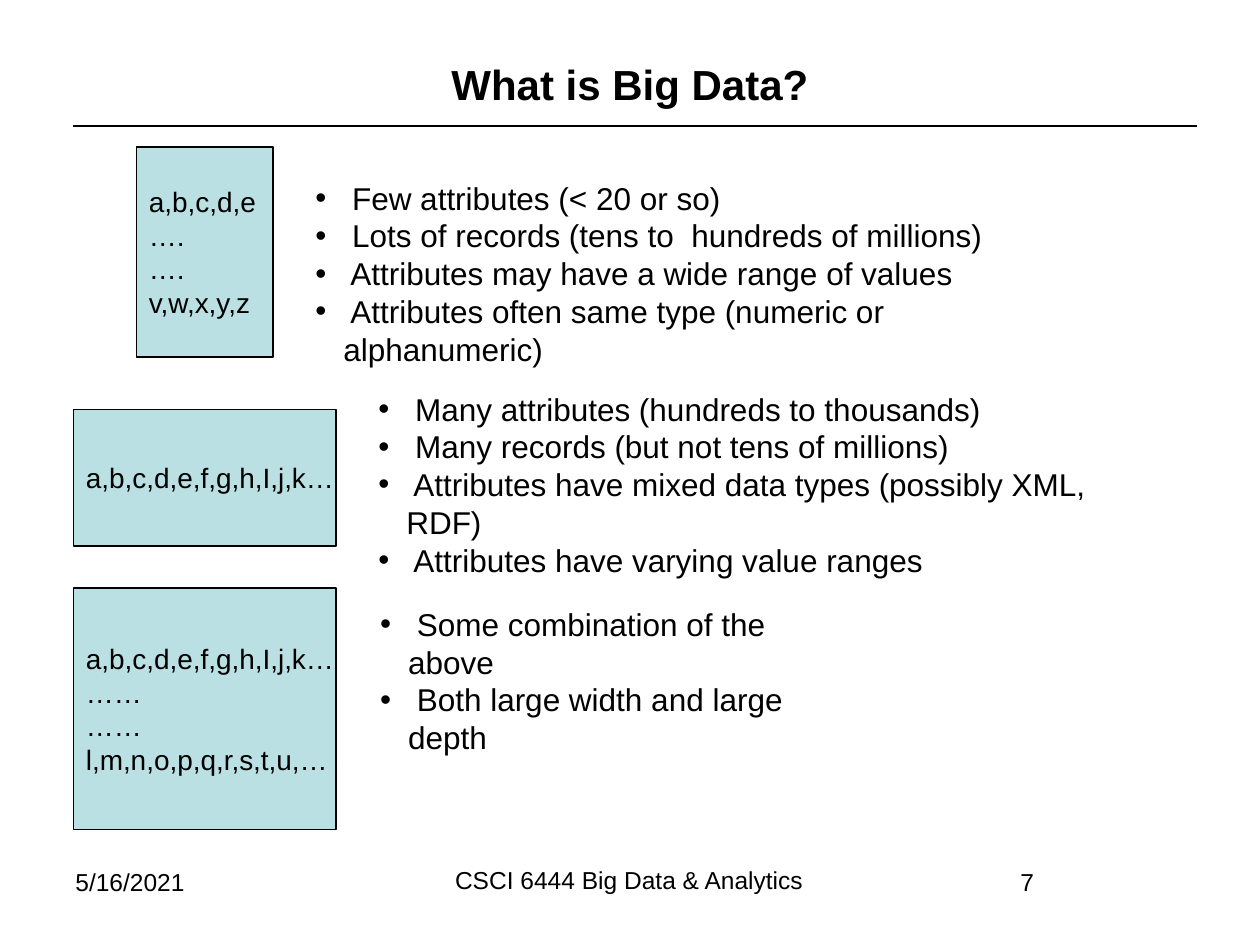
import pptx
import pptx.dml.color
import pptx.enum.shapes
import pptx.enum.text
import pptx.oxml
import pptx.oxml.ns
import pptx.util
from lxml import etree

Pt = pptx.util.Pt
ANCHOR = pptx.enum.text.MSO_ANCHOR
ALIGN = pptx.enum.text.PP_ALIGN


def rgb(value):
    return pptx.dml.color.RGBColor.from_string(value)


class Deck:
    """Holds the style and the current slide, and draws each kind of element."""

    font, ink, fill = "Arial", "000000", "BBE0E3"

    def __init__(self, prs, layout):
        self.s = prs.slides.add_slide(prs.slide_layouts[layout])

    def place(self, sp, box):
        for name, value in zip(("left", "top", "width", "height"), box):
            setattr(sp, name, Pt(value))

    def set_text(self, sp, lines, size, bold=False, align=ALIGN.LEFT,
                 anchor=ANCHOR.TOP, wrap=True, bullet=False):
        tf = sp.text_frame
        frame = {"word_wrap": wrap, "vertical_anchor": anchor,
                 "auto_size": pptx.enum.text.MSO_AUTO_SIZE.NONE}
        for name, value in frame.items():
            setattr(tf, name, value)
        for i, line in enumerate(lines):
            p = tf.add_paragraph() if i else tf.paragraphs[0]
            p.alignment = align
            p.space_before = Pt(0)
            if bullet:
                self.add_bullet(p)
            r = p.add_run()
            r.text = line
            style = {"name": self.font, "size": Pt(size), "bold": bold}
            for name, value in style.items():
                setattr(r.font, name, value)
            r.font.color.rgb = rgb(self.ink)

    def add_bullet(self, p, indent=16):
        pPr = p._p.get_or_add_pPr()
        pPr.set("marL", str(Pt(indent)))
        pPr.set("indent", str(-Pt(indent)))
        etree.SubElement(pPr, pptx.oxml.ns.qn("a:buChar")).set("char", "•")

    def title(self, text, box):
        sp = self.s.shapes.title
        self.place(sp, box)
        self.set_text(sp, [text], 24, bold=True, align=ALIGN.CENTER, anchor=ANCHOR.MIDDLE)

    def bullets(self, idx, lines, box):
        sp = self.s.placeholders[idx]
        self.place(sp, box)
        self.set_text(sp, lines, 18, bullet=True)

    def label(self, text, box, align=ALIGN.LEFT):
        sp = self.s.shapes.add_textbox(*map(Pt, box))
        self.set_text(sp, [text], 14, align=align)

    def block(self, lines, box):
        sp = self.s.shapes.add_shape(pptx.enum.shapes.MSO_SHAPE.RECTANGLE, *map(Pt, box))
        sp.shadow.inherit = False
        sp.fill.solid()
        sp.fill.fore_color.rgb = rgb(self.fill)
        self.outline(sp)
        self.set_text(sp, lines, 16, anchor=ANCHOR.MIDDLE, wrap=False)

    def rule(self, x1, x2, y):
        sp = self.s.shapes.add_connector(
            pptx.enum.shapes.MSO_CONNECTOR.STRAIGHT, Pt(x1), Pt(y), Pt(x2), Pt(y))
        self.outline(sp)
        etree.SubElement(sp._element.spPr, pptx.oxml.ns.qn("a:effectLst"))

    def outline(self, sp):
        sp.line.color.rgb = rgb(self.ink)
        sp.line.width = Pt(0.75)

    def drop_empty(self):
        for sp in list(self.s.placeholders):
            if not sp.text_frame.text:
                sp._element.getparent().remove(sp._element)


def main():
    prs = pptx.Presentation()
    prs.slide_width, prs.slide_height = Pt(720), Pt(540)
    d = Deck(prs, 4)
    d.rule(42, 684, 72)
    d.label("5/16/2021", (36, 492, 84, 37.5))
    d.label("CSCI 6444 Big Data & Analytics", (173, 491, 373, 37.5), ALIGN.CENTER)
    d.label("7", (576, 492, 54, 37.5))
    d.title("What is Big Data?", (36, 24, 648, 48))

    d.block(["a,b,c,d,e", "….", "….", "v,w,x,y,z"], (78, 84, 78, 120))
    d.bullets(1, [" Few attributes (< 20 or so)",
                  " Lots of records (tens to  hundreds of millions)",
                  " Attributes may have a wide range of values",
                  " Attributes often same type (numeric or alphanumeric)"],
              (173, 98.5, 450, 94))

    wide = "a,b,c,d,e,f,g,h,I,j,k…"
    d.block([wide], (42, 234, 150, 78))
    d.bullets(2, [" Many attributes (hundreds to thousands)",
                  " Many records (but not tens of millions)",
                  " Attributes have mixed data types (possibly XML, RDF)",
                  " Attributes have varying value ranges"],
              (209, 219, 458, 94))

    d.block([wide, "……", "……", "l,m,n,o,p,q,r,s,t,u,…"], (42, 336, 150, 138))
    d.bullets(4, [" Some combination of the above",
                  " Both large width and large depth"],
              (210, 342, 284.5, 50))
    d.drop_empty()
    prs.save("out.pptx")


if __name__ == "__main__":
    main()
